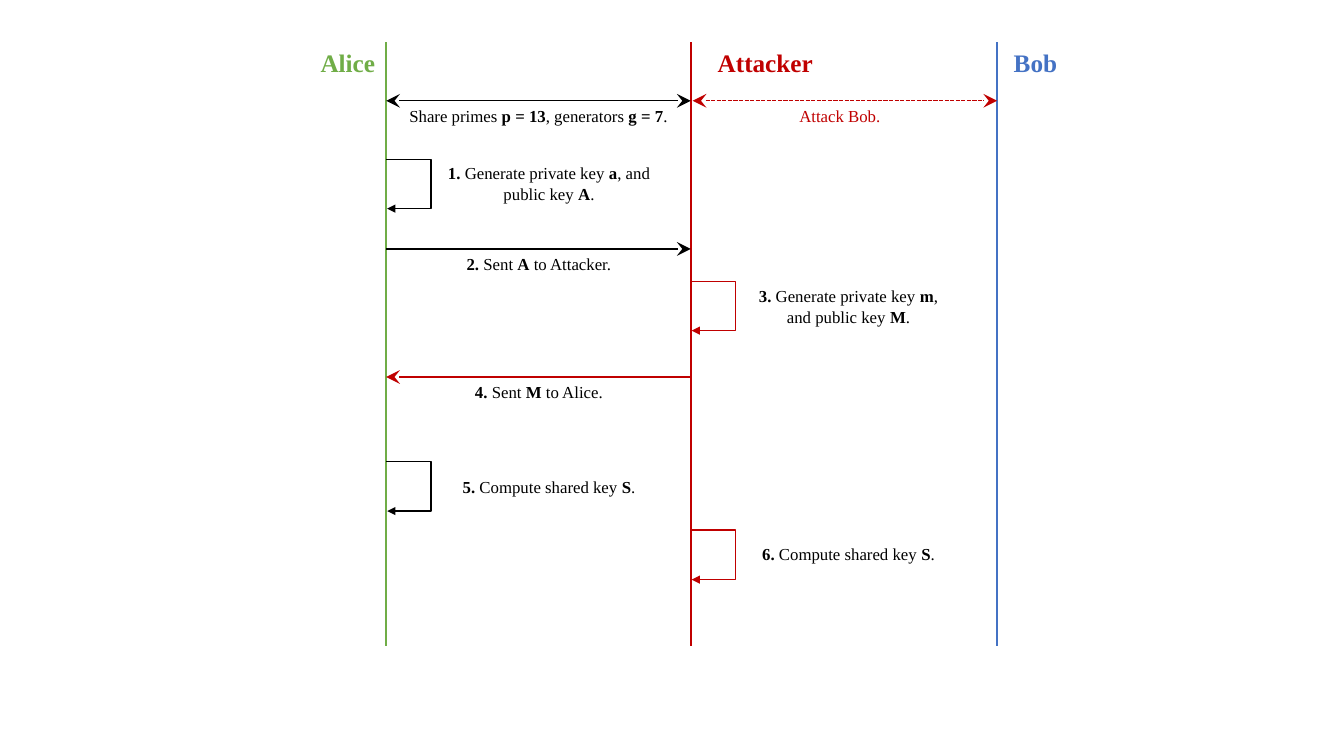
from pptx import Presentation
from pptx.dml.color import RGBColor
from pptx.enum.dml import MSO_LINE
from pptx.enum.shapes import MSO_CONNECTOR as LINK
from pptx.enum.text import MSO_AUTO_SIZE, PP_ALIGN
from pptx.oxml.ns import qn
from pptx.util import Inches, Pt
from lxml.etree import SubElement

BLACK = RGBColor(0x00, 0x00, 0x00)
GREEN = RGBColor(0x70, 0xAD, 0x47)
RED = RGBColor(0xC0, 0x00, 0x00)
BLUE = RGBColor(0x44, 0x72, 0xC4)

ALICE, ATTACKER, BOB = 3.83, 6.85, 9.89
TOP, BOTTOM = 0.42, 6.41
LOOP_DEPTH, LOOP_OFFSET, LOOP_HEIGHT = 0.45, 0.01, 0.49

prs = Presentation()
prs.slide_width, prs.slide_height = Inches(13.33), Inches(7.5)
slide = prs.slides.add_slide(prs.slide_layouts[6])


def add_line(x1, y1, x2, y2, color, width=1, head=None, tail=None, kind=LINK.STRAIGHT):
    line = slide.shapes.add_connector(kind, Inches(x1), Inches(y1), Inches(x2), Inches(y2))
    line.line.color.rgb = color
    line.line.width = Pt(width)
    properties = line._element.spPr
    for tag, end in (("a:headEnd", head), ("a:tailEnd", tail)):
        if end:
            size = "lg" if end == "stealth" else "med"
            SubElement(properties.find(qn("a:ln")), qn(tag), type=end, w=size, len=size)
    SubElement(properties, qn("a:effectLst"))
    return line


def add_label(x, y, width, height, text, color=BLACK, size=12):
    box = slide.shapes.add_textbox(Inches(x), Inches(y), Inches(width), Inches(height))
    frame = box.text_frame
    frame.word_wrap = True
    frame.auto_size = MSO_AUTO_SIZE.SHAPE_TO_FIT_TEXT
    paragraph = frame.paragraphs[0]
    paragraph.alignment = PP_ALIGN.CENTER
    for index, part in enumerate(text.split("*")):
        if part:
            run = paragraph.add_run()
            run.text = part
            run.font.name = "Times New Roman"
            run.font.size = Pt(size)
            run.font.bold = index % 2 == 1
            run.font.color.rgb = color


for name, lifeline, name_x, name_width, color in (
    ("Alice", ALICE, 3.07, 0.76, GREEN),
    ("Attacker", ATTACKER, ATTACKER, 1.48, RED),
    ("Bob", BOB, BOB, 0.76, BLUE),
):
    add_line(lifeline, TOP, lifeline, BOTTOM, color, width=1.5)
    add_label(name_x, TOP, name_width, 0.4, f"*{name}*", color, size=18)

add_line(ALICE, 1, ATTACKER, 1, BLACK, head="stealth", tail="stealth")
add_label(ALICE, 1, 3.02, 0.3, "Share primes *p = 13*, generators* g = 7*.")
attack = add_line(6.87, 1, BOB, 1, RED, head="stealth", tail="stealth")
attack.line.dash_style = MSO_LINE.SQUARE_DOT
add_label(6.82, 1, 3.02, 0.3, "Attack Bob.", RED)

for y, color, head, tail, message in (
    (2.47, BLACK, None, "stealth", "*2.* Sent *A* to Attacker."),
    (3.74, RED, "stealth", None, "*4.* Sent *M* to Alice."),
):
    add_line(ALICE, y, ATTACKER, y, color, head=head, tail=tail)
    add_label(4.22, y, 2.25, 0.3, message)

for lifeline, y, color, label_x, label_y, label_height, step in (
    (ALICE, 1.58, BLACK, 4.32, 1.57, 0.5, "*1. *Generate private key *a*, and public key *A*."),
    (ATTACKER, 2.79, RED, 7.29, 2.79, 0.5, "*3. *Generate private key *m*, and public key *M*."),
    (ALICE, 4.58, BLACK, 4.32, 4.68, 0.3, "*5. *Compute shared key *S*."),
    (ATTACKER, 5.26, RED, 7.29, 5.35, 0.3, "*6. *Compute shared key *S*."),
):
    loop = add_line(lifeline, y, lifeline + LOOP_OFFSET, y + LOOP_HEIGHT, color,
                    tail="triangle", kind=LINK.ELBOW)
    guides = loop._element.spPr.find(qn("a:prstGeom")).get_or_add_avLst()
    bend = round(LOOP_DEPTH / LOOP_OFFSET * 100000)
    SubElement(guides, qn("a:gd"), name="adj1", fmla=f"val {bend}")
    add_label(label_x, label_y, 2.25, label_height, step)

prs.save("out.pptx")
